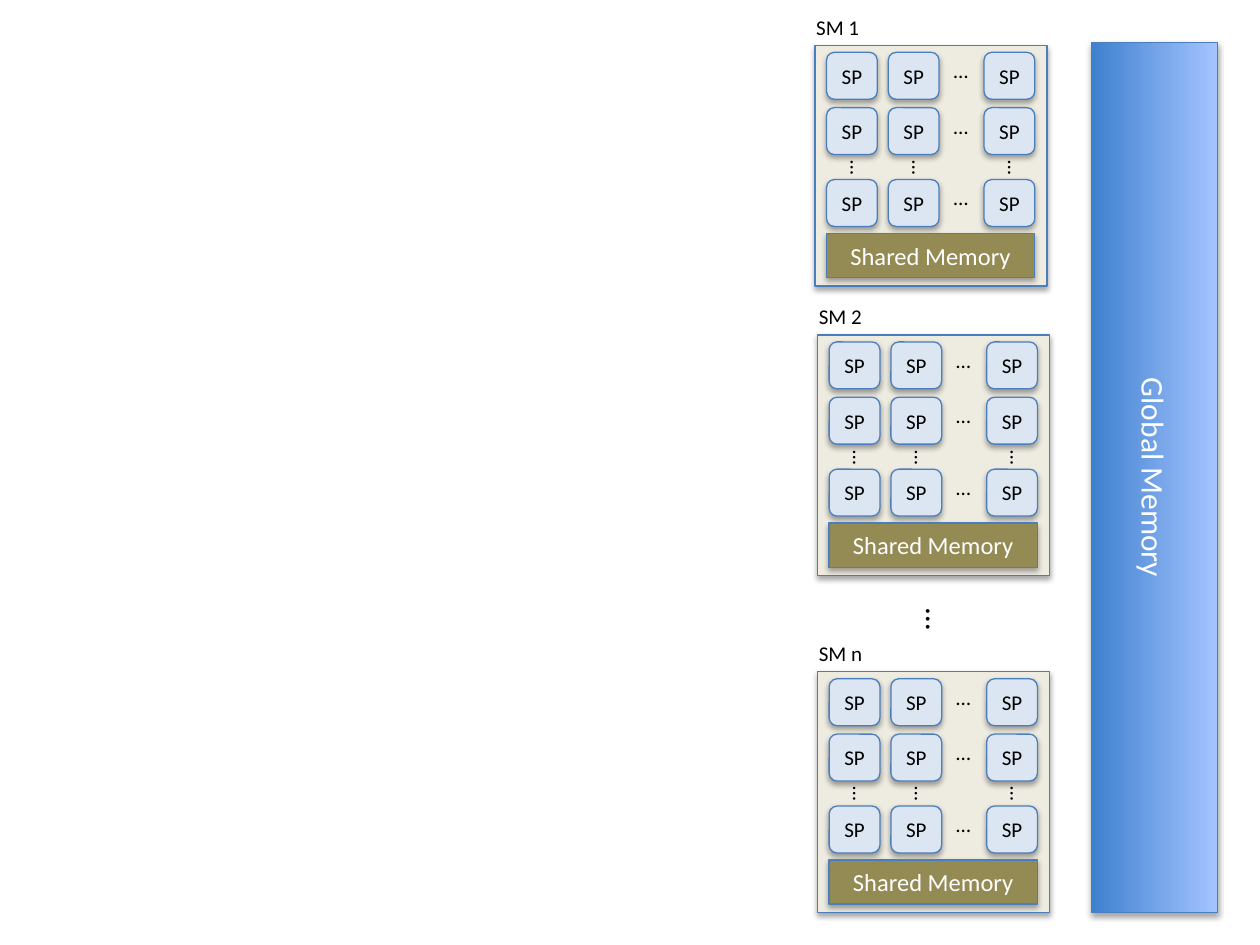
"""Build a diagram of multiprocessors with shared and global memory."""
from lxml import etree
from pptx import Presentation
from pptx.dml.color import RGBColor
from pptx.enum import shapes, text
from pptx.oxml import ns
from pptx.util import Pt

COLORS = {"panel": "EEECE1", "processor": "DCE6F2", "shared": "948A54", "edge": "4B7EBC",
          "global_start": "3F80CE", "global_end": "A4C4FF", "dark": "000000", "light": "FFFFFF"}
SHADOW = {"blurRad": "40000", "dist": "23000", "dir": "5400000", "rotWithShape": "0"}
RECT = shapes.MSO_SHAPE.RECTANGLE
ROUNDED = shapes.MSO_SHAPE.ROUNDED_RECTANGLE
COLUMNS = (6.5, 41.8, 96.5)
ROWS = (4, 35.6, 76.7)
MULTIPROCESSORS = (("SM 1", 465.8, 25.9), ("SM 2", 467.3, 191.4), ("SM n", 467.3, 383.9))


def color(name):
    """Return the named colour."""
    return RGBColor.from_string(COLORS[name])


def apply(target, values):
    """Set each format value on the target."""
    for name, value in values.items():
        setattr(target, name, value)


def write(frame, words, size, ink, align):
    """Write one formatted paragraph."""
    paragraph = frame.paragraphs[0]
    paragraph.alignment = align
    run = paragraph.add_run()
    apply(run, {"text": words})
    apply(run.font, {"name": "Calibri", "size": Pt(size)})
    run.font.color.rgb = color(ink)


def add_shadow(block):
    """Give a block a soft shadow below."""
    block.shadow.inherit = False
    effects = block._element.spPr.find(ns.qn("a:effectLst"))
    outer = etree.SubElement(effects, ns.qn("a:outerShdw"), SHADOW)
    tint = etree.SubElement(outer, ns.qn("a:srgbClr"), val=COLORS["dark"])
    etree.SubElement(tint, ns.qn("a:alpha"), val="35000")


def add_block(slide, kind, box, fill, words="", size=12, ink="dark"):
    """Add a filled, outlined block with centred text."""
    block = slide.shapes.add_shape(kind, *map(Pt, box))
    block.fill.solid()
    block.fill.fore_color.rgb = color(fill)
    block.line.color.rgb = color("edge")
    block.line.width = Pt(0.75)
    add_shadow(block)
    if words:
        block.text_frame.vertical_anchor = text.MSO_ANCHOR.MIDDLE
        write(block.text_frame, words, size, ink, text.PP_ALIGN.CENTER)
    return block


def add_label(slide, box, words, size=12, rotation=0, wrap=False):
    """Add a text box that grows with its text."""
    label = slide.shapes.add_textbox(*map(Pt, box))
    label.rotation = rotation
    apply(label.text_frame, {"word_wrap": wrap, "auto_size": text.MSO_AUTO_SIZE.SHAPE_TO_FIT_TEXT})
    write(label.text_frame, words, size, "dark", text.PP_ALIGN.LEFT)


def add_multiprocessor(slide, name, left, top):
    """Add one multiprocessor with its grid of processors."""
    add_block(slide, RECT, (left, top, 132.5, 137.5), "panel")
    for row in ROWS:
        for column in COLUMNS:
            add_block(slide, ROUNDED, (left + column, top + row, 29, 26.8), "processor", "SP")
        add_label(slide, (left + 72, top + row - 0.4, 23, 21.6), "…")
    for column in COLUMNS:
        add_label(slide, (left + column + 6.9, top + 59.4, 23, 21.6), "…", rotation=90)
    add_block(slide, RECT, (left + COLUMNS[0], top + 107.5, 119, 25.2), "shared",
              "Shared Memory", 14, "light")
    add_label(slide, (left - 6.5, top - 21.4, 39.6, 21.6), name)


def add_global_memory(slide):
    """Add the tall gradient bar for global memory."""
    bar = add_block(slide, RECT, (411.1, 236.9, 497, 72), "global_start",
                    "Global Memory", 18, "light")
    bar.rotation = 90
    bar.fill.gradient()
    bar.fill.gradient_angle = 90
    for stop, name in zip(bar.fill.gradient_stops, ("global_start", "global_end")):
        stop.color.rgb = color(name)


def main():
    """Build and save the slide."""
    deck = Presentation()
    apply(deck, {"slide_width": Pt(720), "slide_height": Pt(540)})
    slide = deck.slides.add_slide(deck.slide_layouts[6])
    for multiprocessor in MULTIPROCESSORS:
        add_multiprocessor(slide, *multiprocessor)
    add_label(slide, (525.6, 337, 21.6, 28.8), "…", 18, 90, True)
    add_global_memory(slide)
    deck.save("out.pptx")


main()
